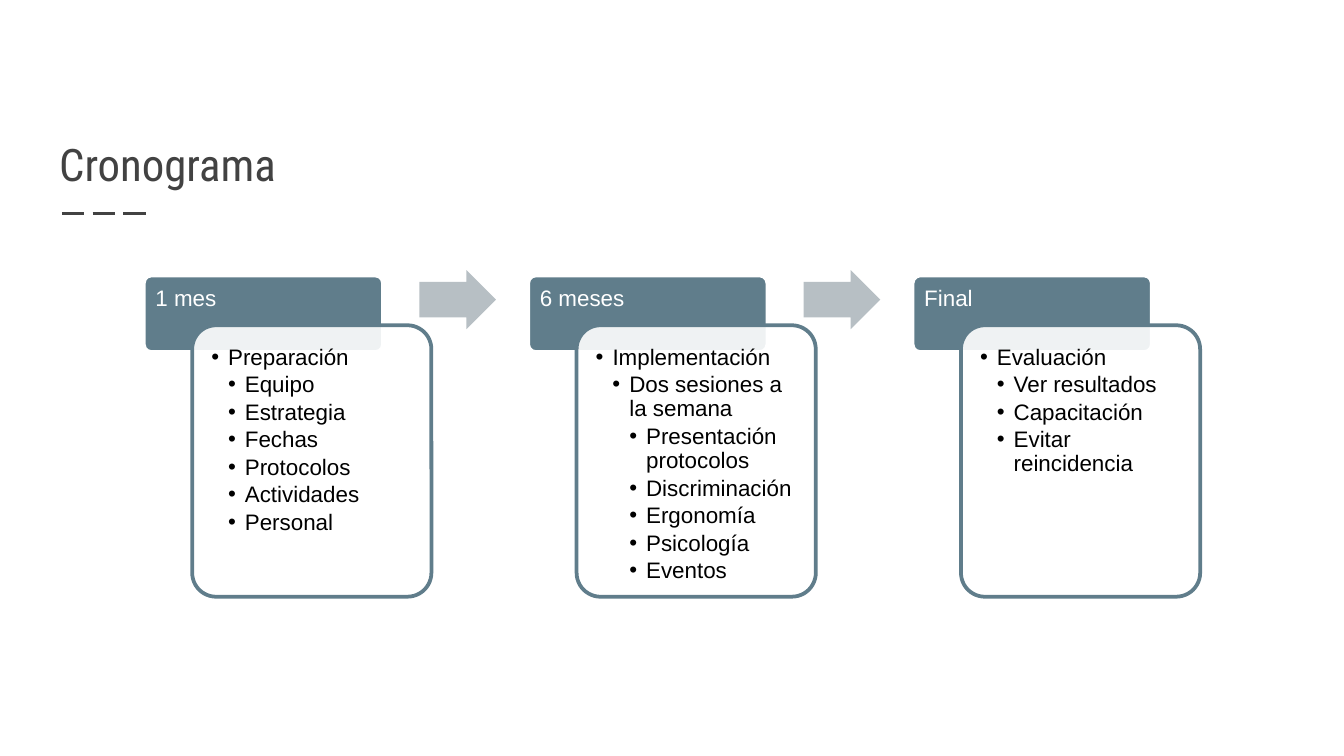
from lxml import etree
from pptx import Presentation
from pptx.dml.color import RGBColor
from pptx.enum.dml import MSO_LINE
from pptx.enum.shapes import MSO_CONNECTOR, MSO_SHAPE
from pptx.enum.text import MSO_ANCHOR, MSO_AUTO_SIZE, PP_ALIGN
from pptx.oxml.ns import qn
from pptx.util import Inches, Pt

WHITE = RGBColor(0xFF, 0xFF, 0xFF)
BLACK = RGBColor(0x00, 0x00, 0x00)
CHARCOAL = RGBColor(0x42, 0x42, 0x42)
SLATE = RGBColor(0x60, 0x7D, 0x8B)
ARROW_GREY = RGBColor(0xB7, 0xBF, 0xC4)

BODY_FONT = "Arial"
TITLE_FONT = "Roboto Condensed"
SLIDE_WIDTH = Inches(10)
SLIDE_HEIGHT = SLIDE_WIDTH * 9 // 16
INDENT = Pt(9)

# Each stage: heading and (indent level, text) items
STAGES = [
    ("1 mes", [(1, "Preparación"), (2, "Equipo"), (2, "Estrategia"), (2, "Fechas"),
               (2, "Protocolos"), (2, "Actividades"), (2, "Personal")]),
    ("6 meses", [(1, "Implementación"), (2, "Dos sesiones a la semana"),
                 (3, "Presentación protocolos"), (3, "Discriminación"),
                 (3, "Ergonomía"), (3, "Psicología"), (3, "Eventos")]),
    ("Final", [(1, "Evaluación"), (2, "Ver resultados"), (2, "Capacitación"),
               (2, "Evitar reincidencia")]),
]


def apply_format(target, values):
    for name, value in values.items():
        setattr(target, name, value)


def set_frame(frame, anchor, left, top, right, bottom):
    apply_format(frame, {
        "word_wrap": True, "auto_size": MSO_AUTO_SIZE.NONE, "vertical_anchor": anchor,
        "margin_left": Inches(left), "margin_top": Inches(top),
        "margin_right": Inches(right), "margin_bottom": Inches(bottom),
    })


def write(paragraph, text, font_name, size, color, **layout):
    apply_format(paragraph, {"alignment": PP_ALIGN.LEFT, **layout})
    run = paragraph.add_run()
    run.text = text
    apply_format(run.font, {"name": font_name, "size": Pt(size)})
    run.font.color.rgb = color


def add_bullet(paragraph, level):
    properties = paragraph._p.get_or_add_pPr()
    properties.set("marL", str(INDENT * level))
    properties.set("indent", str(-INDENT))
    color = etree.SubElement(properties, qn("a:buClr"))
    etree.SubElement(color, qn("a:srgbClr"), val=str(BLACK))
    etree.SubElement(properties, qn("a:buFont"), typeface=BODY_FONT)
    etree.SubElement(properties, qn("a:buChar"), char="•")
    paragraph.level = level


def add_block(slide, preset, box, fill, adjustments, outline=None):
    block = slide.shapes.add_shape(preset, *map(Inches, box))
    block.shadow.inherit = False
    block.fill.solid()
    block.fill.fore_color.rgb = fill
    for index, value in enumerate(adjustments):
        block.adjustments[index] = value
    if outline is None:
        block.line.fill.background()
    else:
        block.line.color.rgb = outline
        block.line.width = Pt(2)
    return block


def add_title(slide, left, top, width, height):
    """Title with a short dashed rule beneath it."""
    title = slide.shapes.title
    apply_format(title, {"left": Inches(left), "top": Inches(top),
                         "width": Inches(width), "height": Inches(height)})
    set_frame(title.text_frame, MSO_ANCHOR.BOTTOM, 0.1, 0.1, 0.1, 0.1)
    write(title.text_frame.paragraphs[0], "Cronograma", TITLE_FONT, 24, CHARCOAL)

    rule_left, rule_top = left + 0.12, top + height + 0.07
    rule = slide.shapes.add_connector(
        MSO_CONNECTOR.STRAIGHT, Inches(rule_left), Inches(rule_top),
        Inches(rule_left + 0.67), Inches(rule_top))
    rule.line.color.rgb = CHARCOAL
    apply_format(rule.line, {"width": Pt(1.5), "dash_style": MSO_LINE.LONG_DASH})
    etree.SubElement(rule._element.spPr, qn("a:effectLst"))


def add_stage(slide, left, top, heading, items):
    """Heading tab with an overlapping, slightly transparent card of bullets."""
    tab = add_block(slide, MSO_SHAPE.ROUNDED_RECTANGLE, (left, top, 1.78, 0.57),
                    SLATE, [0.1], WHITE)
    set_frame(tab.text_frame, MSO_ANCHOR.TOP, 0.07, 0.07, 0.07, 0.05)
    write(tab.text_frame.paragraphs[0], heading, BODY_FONT, 12, WHITE, line_spacing=0.9)

    card = add_block(slide, MSO_SHAPE.ROUNDED_RECTANGLE,
                     (left + 0.36, top + 0.37, 1.78, 2.02), WHITE, [0.1], SLATE)
    card_color = card._element.spPr.find(qn("a:solidFill")).find(qn("a:srgbClr"))
    etree.SubElement(card_color, qn("a:alpha"), val="90000")
    frame = card.text_frame
    set_frame(frame, MSO_ANCHOR.TOP, 0.09, 0.1, 0.09, 0.09)
    for index, (level, text) in enumerate(items):
        paragraph = frame.add_paragraph() if index else frame.paragraphs[0]
        add_bullet(paragraph, level)
        write(paragraph, text, BODY_FONT, 12, BLACK,
              line_spacing=0.9, space_after=Pt(1.8))


def add_timeline(slide, left, top, pitch):
    for index, (heading, items) in enumerate(STAGES):
        stage_left = left + index * pitch
        add_stage(slide, stage_left, top, heading, items)
        if index < len(STAGES) - 1:
            add_block(slide, MSO_SHAPE.RIGHT_ARROW,
                      (stage_left + 2.05, top - 0.04, 0.57, 0.44), ARROW_GREY, [0.6, 0.5])


def main():
    presentation = Presentation()
    apply_format(presentation, {"slide_width": SLIDE_WIDTH, "slide_height": SLIDE_HEIGHT})
    slide = presentation.slides.add_slide(presentation.slide_layouts[5])
    add_title(slide, 0.34, 0.69, 3.07, 0.83)
    add_timeline(slide, 1.07, 2.05, 2.86)
    presentation.save("out.pptx")


if __name__ == "__main__":
    main()
